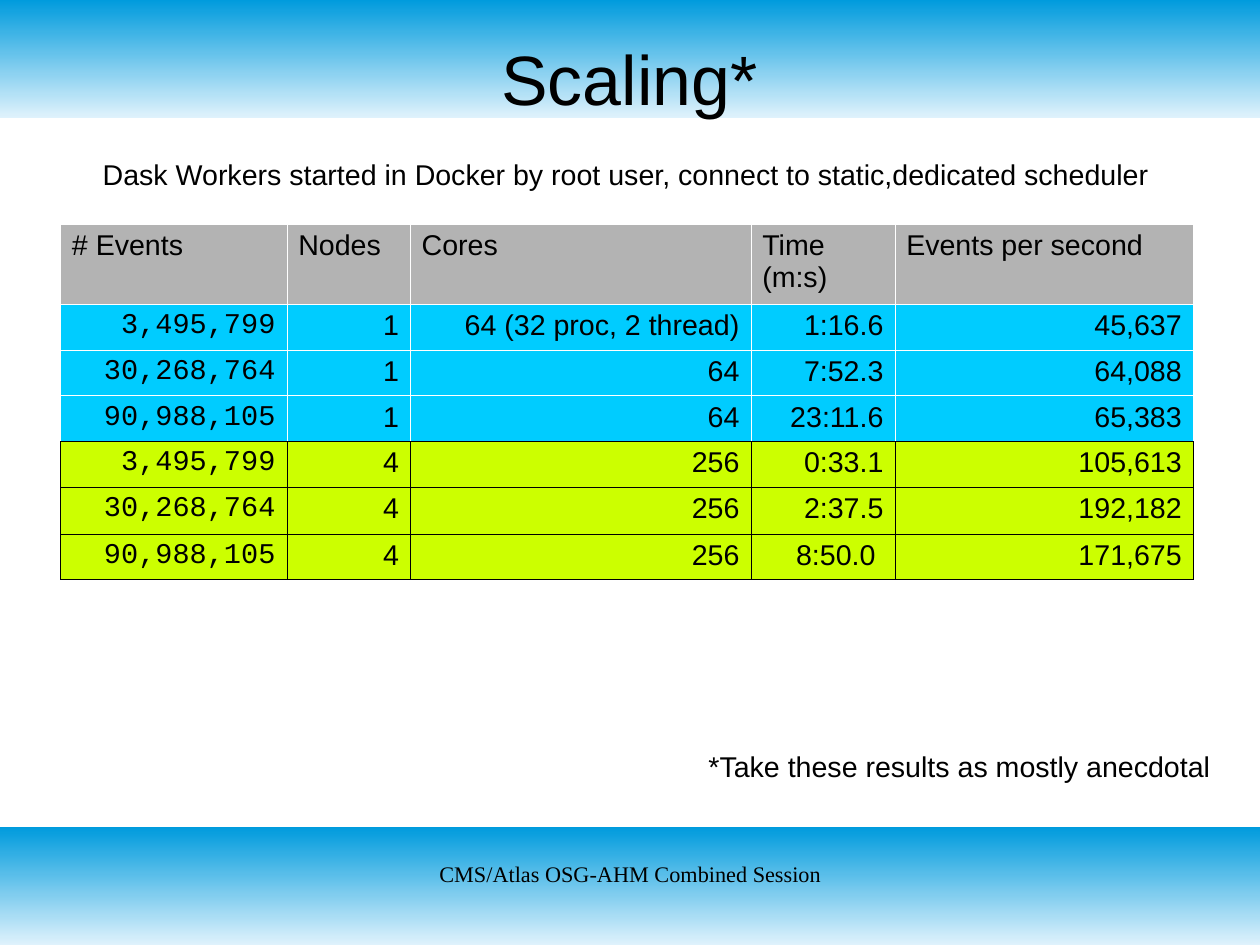
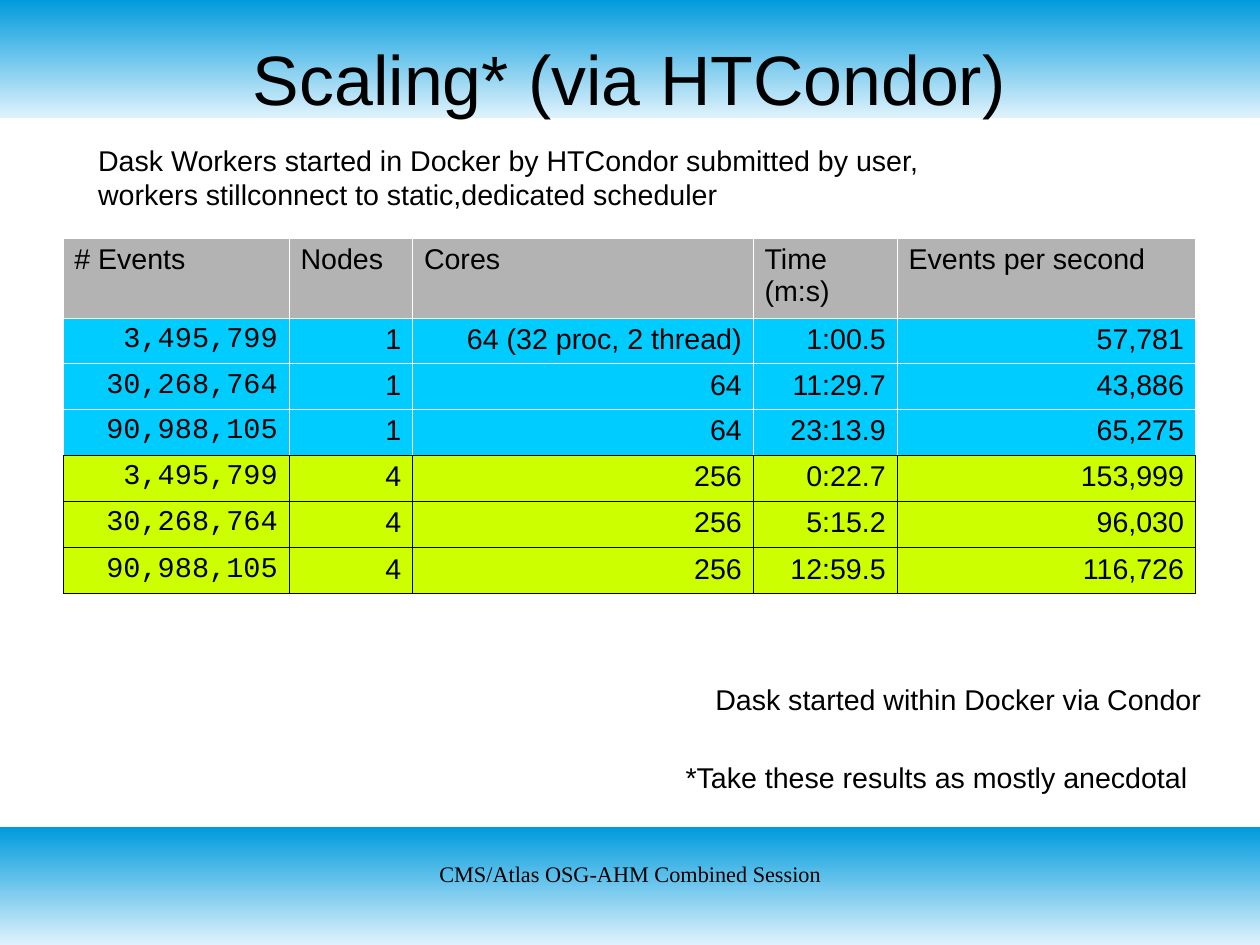
from dataclasses import dataclass

from lxml import etree
from pptx import Presentation
from pptx.dml.color import RGBColor
from pptx.enum.shapes import MSO_SHAPE
from pptx.enum.text import MSO_ANCHOR, MSO_AUTO_SIZE, PP_ALIGN
from pptx.oxml.ns import qn
from pptx.util import Inches, Pt

RECT = MSO_SHAPE.RECTANGLE
MIDDLE = MSO_ANCHOR.MIDDLE
TOP = MSO_ANCHOR.TOP
FIXED = MSO_AUTO_SIZE.NONE
LEFT, CENTER, RIGHT = PP_ALIGN.LEFT, PP_ALIGN.CENTER, PP_ALIGN.RIGHT


@dataclass(frozen=True)
class Theme:
    ink: str = "000000"
    white: str = "FFFFFF"
    deep: str = "009BDD"
    pale: str = "DFF2FC"
    gray: str = "B3B3B3"
    cyan: str = "00CCFF"
    lime: str = "CCFF00"
    sans: str = "Arial"
    mono: str = "Courier New"
    serif: str = "Times New Roman"
    title: int = 44
    body: int = 18
    small: int = 14
    rule: float = 0.06


theme = Theme()

WIDE, HIGH = Pt(793.75), Pt(595.25)
BAND = Inches(1.03)
COLS = [1.98, 1.08, 2.98, 1.26, 2.61]
ROWS = [0.7] + [0.4] * 4 + [0.41, 0.4]
HEAD = ["# Events", "Nodes", "Cores", "Time (m:s)", "Events per second"]
EVENTS = ["3,495,799", "30,268,764", "90,988,105"]
CORES = ["64 (32 proc, 2 thread)", "64", "64", "256", "256", "256"]
FOOTER = "CMS/Atlas OSG-AHM Combined Session"
CAVEAT = "*Take these results as mostly anecdotal"

# Per slide: title, table corner, (time, rate) rows, notes as (box, lines)
SLIDES = [
    (
        "Scaling*",
        (0.53, 1.96),
        [("1:16.6", "45,637"), ("7:52.3", "64,088"), ("23:11.6", "65,383"),
         ("0:33.1", "105,613"), ("2:37.5", "192,182"), ("8:50.0 ", "171,675")],
        [
            ((0.8, 1.32, 9.35, 0.38),
             ["Dask Workers started in Docker by root user, "
              "connect to static,dedicated scheduler"]),
            ((6.1, 6.5, 4.59, 0.4), [CAVEAT]),
        ],
    ),
    (
        "Scaling* (via HTCondor)",
        (0.55, 2.08),
        [("1:00.5", "57,781"), ("11:29.7", "43,886"), ("23:13.9", "65,275"),
         ("0:22.7", "153,999"), ("5:15.2", "96,030"), ("12:59.5", "116,726")],
        [
            ((6.16, 5.92, 4.45, 0.38), ["Dask started within Docker via Condor"]),
            ((5.9, 6.6, 4.59, 0.38), [CAVEAT]),
            ((0.76, 1.2, 7.45, 0.66),
             ["Dask Workers started in Docker by HTCondor submitted by user,",
              "workers stillconnect to static,dedicated scheduler"]),
        ],
    ),
]


def write(frame, lines, size=theme.body, face=theme.sans, align=LEFT):
    for i, line in enumerate(lines):
        para = frame.paragraphs[0] if i == 0 else frame.add_paragraph()
        para.alignment = align
        run = para.add_run()
        run.text = line
        run.font.size = Pt(size)
        run.font.name = face
        run.font.color.rgb = RGBColor.from_string(theme.ink)


def border(cell, sides):
    props = cell._tc.get_or_add_tcPr()
    for side in "LRTB":
        line = etree.SubElement(props, qn("a:ln" + side), w=str(Pt(theme.rule)))
        fill = etree.SubElement(line, qn("a:solidFill"))
        etree.SubElement(fill, qn("a:srgbClr"), val=sides[side])


deck = Presentation()
deck.slide_width, deck.slide_height = WIDE, HIGH
layout = deck.slide_layouts[5]
pages = [deck.slides.add_slide(layout) for _ in SLIDES]

# Shared bands, placed on the layout behind its placeholders
for top in (0, HIGH - BAND):
    band = pages[0].shapes.add_shape(RECT, 0, top, WIDE, BAND)
    band.shadow.inherit = False
    band.line.fill.background()
    band.fill.gradient()
    band.fill.gradient_angle = 90
    for stop, tone in zip(band.fill.gradient_stops, (theme.pale, theme.deep)):
        stop.color.rgb = RGBColor.from_string(tone)
    layout.shapes.element.insert(2, band.element)

for page, (name, corner, results, notes) in zip(pages, SLIDES):
    # Title
    title = page.shapes.title
    title.left, title.top = Inches(0.55), Inches(0.33)
    title.width, title.height = Inches(9.92), Inches(0.7)
    frame = title.text_frame
    frame.margin_left = frame.margin_right = 0
    frame.margin_top = frame.margin_bottom = 0
    frame.vertical_anchor = MIDDLE
    frame.auto_size = FIXED
    write(frame, [name], theme.title, align=CENTER)

    # Results table
    grid = page.shapes.add_table(
        len(ROWS), len(COLS), *map(Inches, corner),
        Inches(sum(COLS)), Inches(sum(ROWS))).table
    grid.first_row = grid.horz_banding = False
    for col, width in zip(grid.columns, COLS):
        col.width = Inches(width)
    data = [HEAD]
    for i, (time, rate) in enumerate(results):
        nodes = "1" if i < 3 else "4"
        data.append([EVENTS[i % 3], nodes, CORES[i], time, rate])
    for r, values in enumerate(data):
        grid.rows[r].height = Inches(ROWS[r])
        tone = theme.gray if r == 0 else theme.cyan if r < 4 else theme.lime
        edge = theme.white if r < 4 else theme.ink
        sides = dict.fromkeys("LRT", edge)
        sides["B"] = theme.white if r < 3 else theme.ink
        for c, value in enumerate(values):
            cell = grid.cell(r, c)
            border(cell, sides)
            cell.fill.solid()
            cell.fill.fore_color.rgb = RGBColor.from_string(tone)
            cell.vertical_anchor = TOP
            write(cell.text_frame, [value],
                  face=theme.mono if r and c == 0 else theme.sans,
                  align=RIGHT if r else LEFT)

    # Notes
    for box, lines in notes:
        frame = page.shapes.add_textbox(*map(Inches, box)).text_frame
        frame.word_wrap = False
        write(frame, lines)

    # Footer
    frame = page.shapes.add_textbox(
        *map(Inches, (3.77, 7.53, 3.49, 0.57))).text_frame
    frame.word_wrap = True
    frame.margin_left = frame.margin_right = 0
    frame.margin_top = frame.margin_bottom = 0
    write(frame, [FOOTER], theme.small, theme.serif, CENTER)

deck.save("out.pptx")
